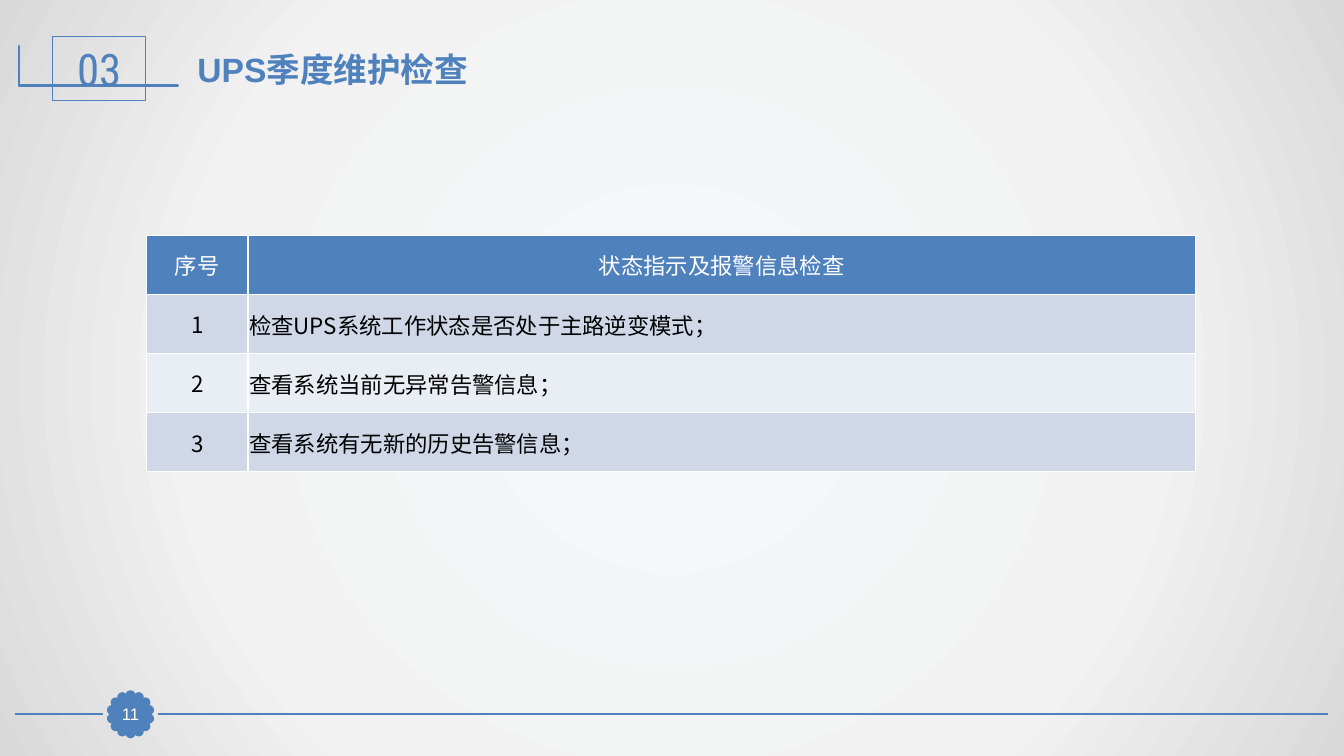
import math
import pptx
import pptx.util
import pptx.dml.color
import pptx.enum.shapes
import pptx.enum.text
import pptx.oxml
import pptx.oxml.ns
from lxml import etree

Cm, Pt = pptx.util.Cm, pptx.util.Pt
Shape = pptx.enum.shapes.MSO_SHAPE
Align = pptx.enum.text.PP_ALIGN
Anchor = pptx.enum.text.MSO_ANCHOR
qn = pptx.oxml.ns.qn

COLORS = {"blue": "4F81BD", "green": "339933", "white": "FFFFFF", "black": "000000",
          "odd": "D0D8E8", "even": "E9EDF4"}
STOPS = [(0, "F6F9FC"), (63, "F2F2F2"), (100, "D9D9D9")]
CJK = "Noto Sans CJK SC"
ROWS = [
    ("序号", "状态指示及报警信息检查"),
    ("1", "检查UPS系统工作状态是否处于主路逆变模式；"),
    ("2", "查看系统当前无异常告警信息；"),
    ("3", "查看系统有无新的历史告警信息；"),
]


def rgb(name):
    return pptx.dml.color.RGBColor.from_string(COLORS[name])


def write(frame, text, size=16, font=CJK, color="black", bold=False,
          align=Align.CENTER, anchor=Anchor.MIDDLE):
    frame.word_wrap = True
    frame.vertical_anchor = anchor
    para = frame.paragraphs[0]
    para.alignment = align
    run = para.add_run()
    run.text = text
    run.font.size, run.font.name, run.font.bold = Pt(size), font, bold
    run.font.color.rgb = rgb(color)
    east = etree.SubElement(run.font._element, qn("a:ea"))
    east.set("typeface", CJK)


def paint(shape, fill, line, width):
    shape.shadow.inherit = False
    if fill:
        shape.fill.solid()
        shape.fill.fore_color.rgb = rgb(fill)
    else:
        shape.fill.background()
    shape.line.color.rgb = rgb(line)
    shape.line.width = Pt(width)


def block(slide, kind, left, top, width, height, fill=None, line="blue", weight=0.75):
    shape = slide.shapes.add_shape(kind, Cm(left), Cm(top), Cm(width), Cm(height))
    paint(shape, fill, line, weight)
    return shape


def rule(slide, start, end, y):
    line = slide.shapes.add_connector(
        pptx.enum.shapes.MSO_CONNECTOR.STRAIGHT, Cm(start), Cm(y), Cm(end), Cm(y))
    line.line.color.rgb = rgb("blue")
    line.line.width = Pt(1.25)
    etree.SubElement(line._element.spPr, qn("a:effectLst"))


def backdrop(slide):
    stops = "".join(f'<a:gs pos="{pos * 1000}"><a:srgbClr val="{color}"/></a:gs>'
                    for pos, color in STOPS)
    slide.element.cSld.insert(0, pptx.oxml.parse_xml(
        f'<p:bg {pptx.oxml.ns.nsdecls("p", "a")}><p:bgPr><a:gradFill rotWithShape="1">'
        f'<a:gsLst>{stops}</a:gsLst><a:path path="circle">'
        '<a:fillToRect l="50000" t="50000" r="50000" b="50000"/></a:path>'
        '</a:gradFill><a:effectLst/></p:bgPr></p:bg>'))


def header(slide, left, top, number, text):
    # Bent bars with a long foot
    points = [(0.46, 0), (0.48, 0), (0.48, 1.17), (3.86, 1.17), (3.86, 1.22),
              (0.43, 1.22), (0.43, 0.05), (0.3, 0.05), (0.3, 1.22), (0, 1.22),
              (0, 0), (0.1, 0), (0.1, 1.14), (0.23, 1.14), (0.23, 0)]
    maker = slide.shapes.build_freeform(*points[0], scale=Cm(1))
    maker.add_line_segments(points[1:], close=True)
    paint(maker.convert_to_shape(Cm(left), Cm(top + 0.25)), "green", "blue", 2)
    # Section number
    box = block(slide, Shape.RECTANGLE, left + 0.84, top, 2.36, 1.63)
    write(box.text_frame, number, size=32, font="Roboto Condensed", color="blue")
    # Title
    title = slide.shapes.title
    title.left, title.top = Cm(left + 4.24), Cm(top + 0.2)
    title.width, title.height = Cm(24.61), Cm(1.27)
    title.text_frame.auto_size = pptx.enum.text.MSO_AUTO_SIZE.NONE
    write(title.text_frame, text, size=24, font="Arial", color="blue", bold=True,
          align=Align.LEFT, anchor=Anchor.TOP)


def border(cell):
    props = cell._tc.get_or_add_tcPr()
    for i, side in enumerate("LRTB"):
        props.insert(i, pptx.oxml.parse_xml(
            f'<a:ln{side} {pptx.oxml.ns.nsdecls("a")} w="12700"><a:solidFill>'
            f'<a:srgbClr val="{COLORS["white"]}"/></a:solidFill></a:ln{side}>'))


def checks(slide, left, top, widths, height):
    table = slide.shapes.add_table(
        len(ROWS), len(widths), Cm(left), Cm(top),
        Cm(sum(widths)), Cm(height * len(ROWS))).table
    for col, width in zip(table.columns, widths):
        col.width = Cm(width)
    for r, row in enumerate(ROWS):
        table.rows[r].height = Cm(height)
        for c, text in enumerate(row):
            cell = table.cell(r, c)
            cell.fill.solid()
            cell.fill.fore_color.rgb = rgb("blue" if r == 0 else "odd" if r % 2 else "even")
            body = r > 0 and c == 1
            write(cell.text_frame, text, color="black" if r else "white",
                  align=Align.LEFT if body else Align.CENTER)
            cell.vertical_anchor = Anchor.MIDDLE
            if body:
                cell.margin_left = cell.margin_right = cell.margin_top = Cm(0.03)
                cell.margin_bottom = 0
            border(cell)


def footer(slide, left, right, y, number):
    mid, ring, dot, count = left + 2.9, 0.48, 0.18, 14
    rule(slide, mid + 0.68, right, y)
    rule(slide, left, mid - 0.69, y)
    # Scalloped badge
    for i in range(count):
        turn = 2 * math.pi * i / count
        block(slide, Shape.OVAL, mid + ring * math.sin(turn) - dot / 2,
              y - ring * math.cos(turn) - dot / 2, dot, dot, fill="blue", weight=2)
    badge = block(slide, Shape.RECTANGLE, mid - 0.41, y - 0.4, 0.82, 0.8, fill="blue")
    frame = badge.text_frame
    frame.margin_left = frame.margin_right = frame.margin_top = frame.margin_bottom = 0
    write(frame, number, size=12, font="Arial", color="white")


def main():
    deck = pptx.Presentation()
    deck.slide_width, deck.slide_height = Cm(33.87), Cm(19.05)
    slide = deck.slides.add_slide(deck.slide_layouts[5])
    backdrop(slide)
    footer(slide, 0.39, 33.47, 18, "11")
    header(slide, 0.48, 0.91, "03", "UPS季度维护检查")
    checks(slide, 3.69, 5.93, (2.56, 23.88), 1.49)
    deck.save("out.pptx")


if __name__ == "__main__":
    main()
